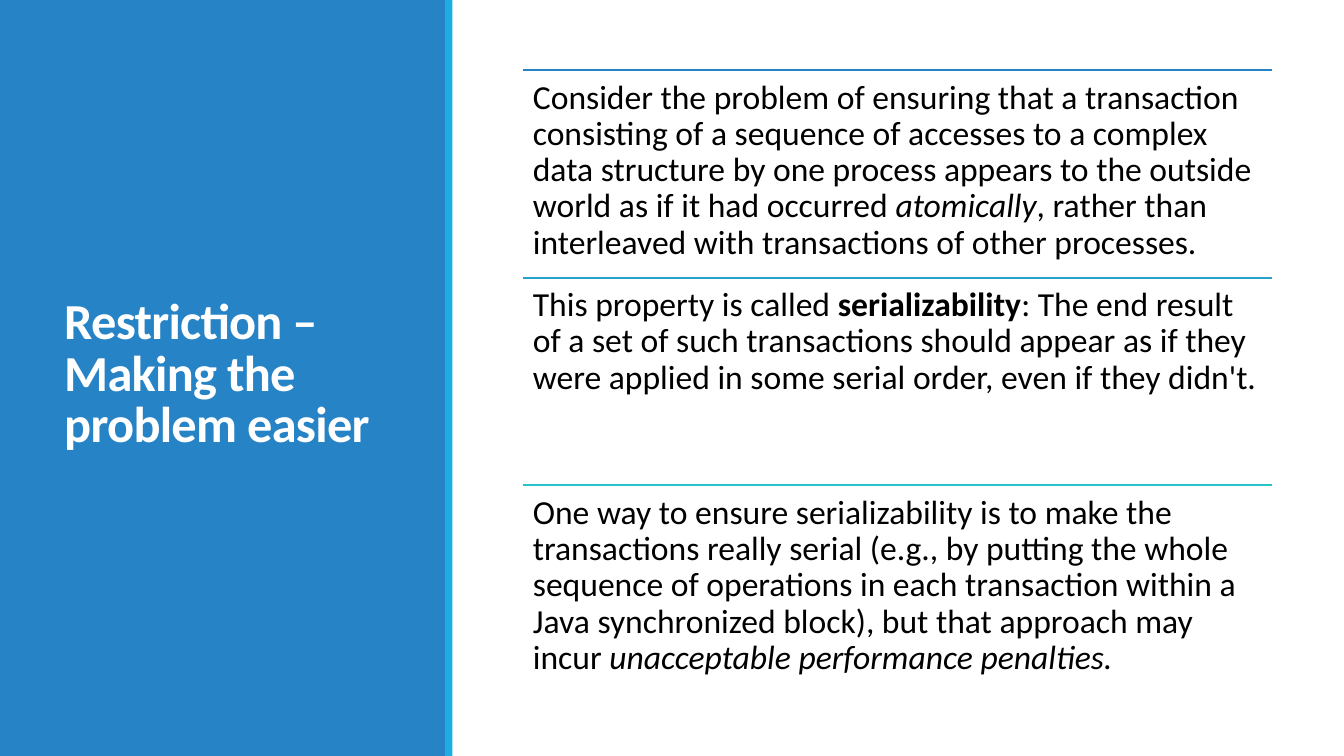
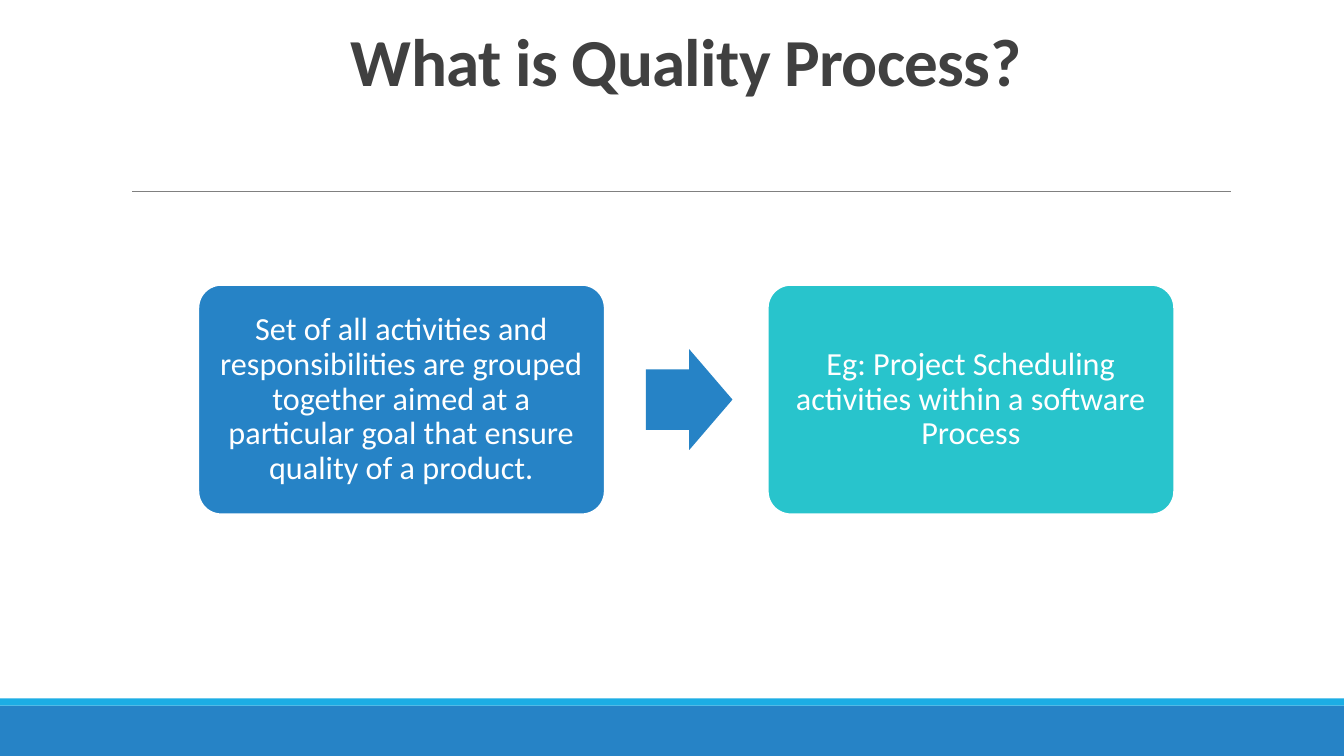
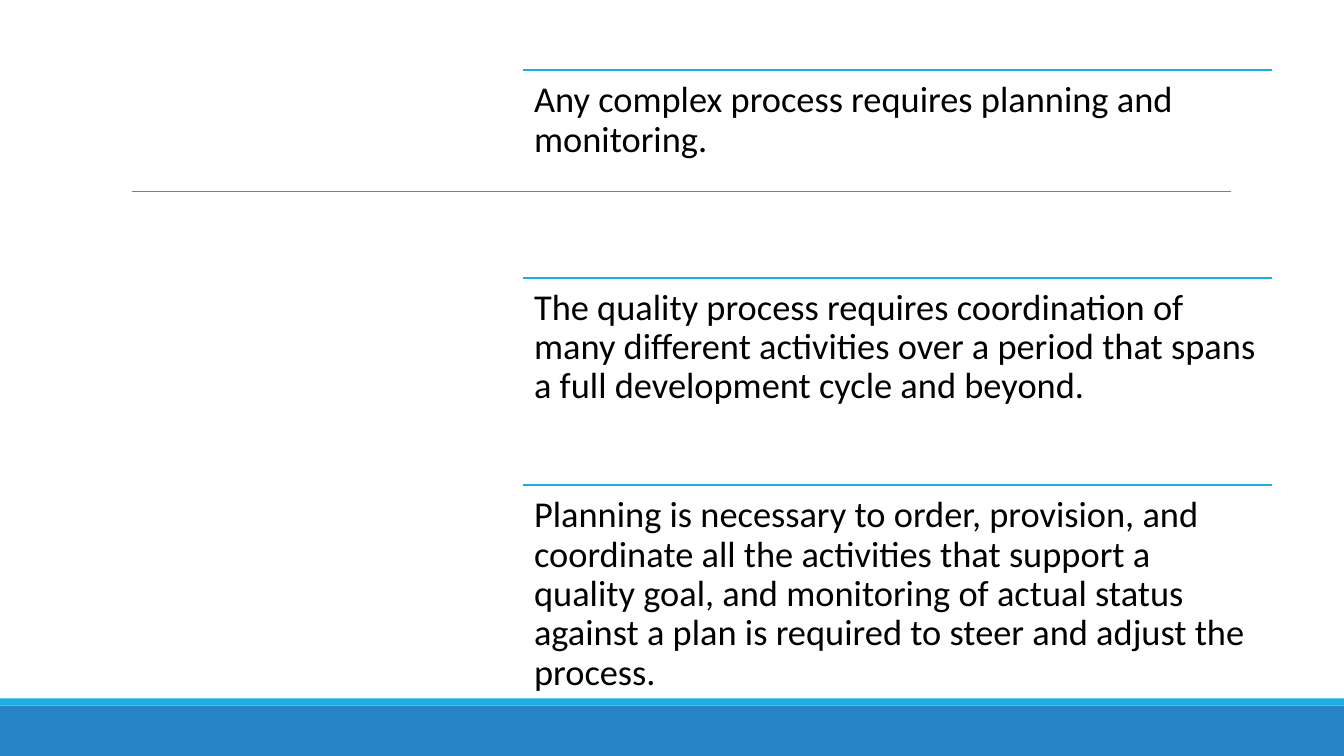
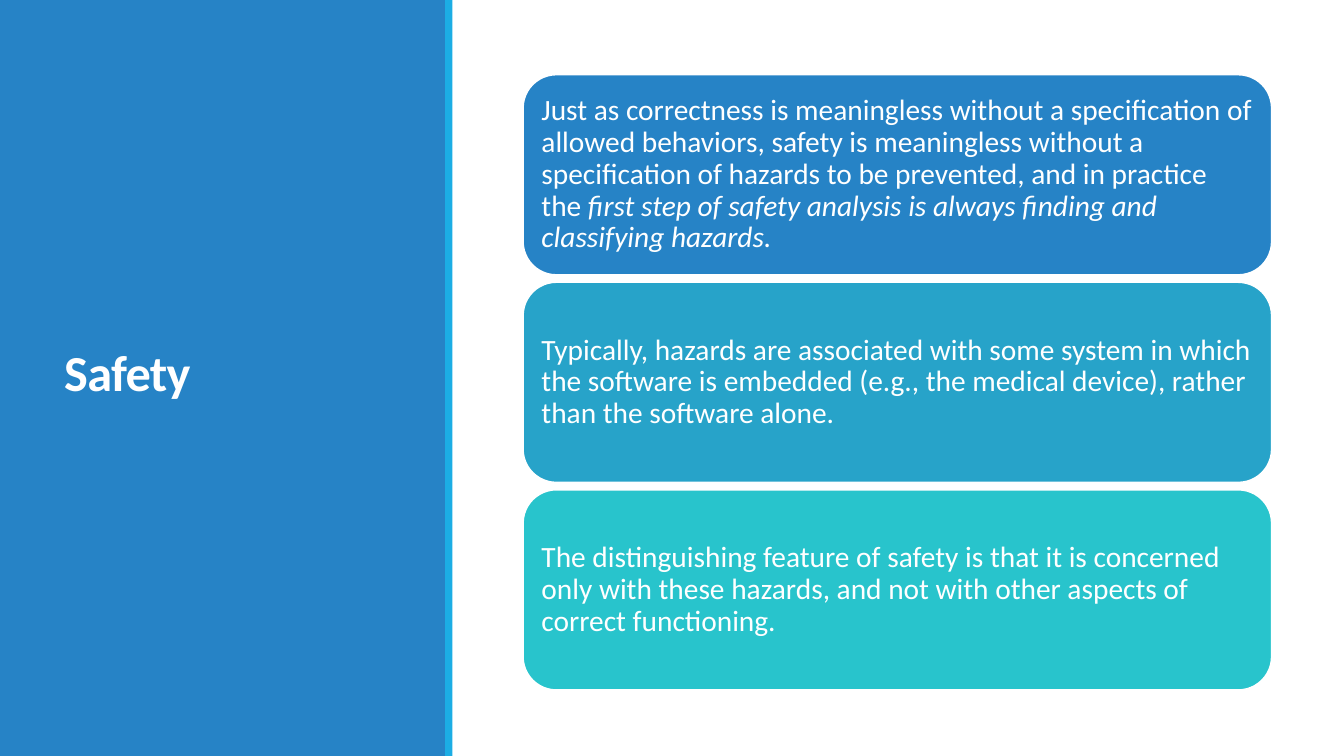
"""Build four slides on restriction, the quality process, planning and safety."""
from pptx import Presentation
from pptx.dml.color import RGBColor
from pptx.enum.shapes import MSO_CONNECTOR, MSO_SHAPE
from pptx.enum.text import MSO_ANCHOR, PP_ALIGN
from pptx.oxml.ns import qn
from pptx.util import Cm, Pt
from lxml.etree import SubElement

FONT = "Calibri"
COLORS = {
    "blue": "2683C6", "sky": "1CADE4", "ocean": "27A3C9", "teal": "28C4CC",
    "white": "FFFFFF", "black": "000000", "dark": "404040", "gray": "808080",
}
WIDTH, HEIGHT = 33.87, 19.05
LEFT, TOP, ROW_W, ROW_H = 13.18, 1.77, 18.87, 5.23


def add_block(s, kind, x, y, w, h, fill, outline=None):
    sp = s.shapes.add_shape(kind, Cm(x), Cm(y), Cm(w), Cm(h))
    sp.shadow.inherit = False
    sp.fill.solid()
    sp.fill.fore_color.rgb = RGBColor.from_string(COLORS[fill])
    if outline:
        sp.line.color.rgb = RGBColor.from_string(COLORS[outline])
        sp.line.width = Pt(1.25)
    else:
        sp.line.fill.background()
    return sp


def write_text(sp, runs, size, color, anchor, inset, align=PP_ALIGN.LEFT, title=False):
    tf = sp.text_frame
    tf.word_wrap = True
    tf.vertical_anchor = anchor
    tf.margin_left = tf.margin_right = tf.margin_top = tf.margin_bottom = Cm(inset)
    p = tf.paragraphs[0]
    p.alignment = align
    p.line_spacing = 0.85 if title else 0.9
    p.font.name = FONT
    p.font.size = Pt(size)
    p.font.color.rgb = RGBColor.from_string(COLORS[color])
    p.font.bold = title
    for text, style in runs:
        r = p.add_run()
        r.text = text
        if style:
            setattr(r.font, style, True)
        if title:
            r._r.get_or_add_rPr().set("spc", "-50")


prs = Presentation()
prs.slide_width, prs.slide_height = Cm(WIDTH), Cm(HEIGHT)
restriction, quality, planning, safety = [
    prs.slides.add_slide(prs.slide_layouts[6]) for _ in range(4)
]
rules = []

for s in (restriction, safety):
    add_block(s, MSO_SHAPE.RECTANGLE, 0, 0, 11.25, HEIGHT, "blue")
    add_block(s, MSO_SHAPE.RECTANGLE, 11.22, 0, 0.18, HEIGHT, "sky")

for s in (quality, planning):
    add_block(s, MSO_SHAPE.RECTANGLE, 0, 17.78, WIDTH, 1.27, "blue")
    add_block(s, MSO_SHAPE.RECTANGLE, 0, 17.6, WIDTH, 0.18, "sky")
    rules.append((s, 3.33, 4.82, 27.68, "gray", 0.5))

side_title = (1.37, 1.45, 8.56, 16.03), 36, "white", MSO_ANCHOR.MIDDLE, PP_ALIGN.LEFT
top_title = (5.44, 1.07, 23.7, 1.7), 48, "dark", MSO_ANCHOR.BOTTOM, PP_ALIGN.CENTER
titles = [
    (restriction, "Restriction – Making the problem easier", side_title),
    (quality, "What is Quality Process?", top_title),
    (safety, "Safety", side_title),
]
for s, text, (box, size, color, anchor, align) in titles:
    sp = s.shapes.add_textbox(*map(Cm, box))
    write_text(sp, [(text, None)], size, color, anchor, 0.25, align, title=True)

restriction_rows = [
    ("blue", [
        ("Consider the problem of ensuring that a transaction consisting of a sequence of "
         "accesses to a complex data structure by one process appears to the outside world "
         "as if it had occurred", None),
        (" atomically", "italic"),
        (", rather than interleaved with transactions of other processes.", None),
    ]),
    ("ocean", [
        ("This property is called ", None),
        ("serializability", "bold"),
        (": The end result of a set of such transactions should appear as if they were "
         "applied in some serial order, even if they didn't.", None),
    ]),
    ("teal", [
        ("One way to ensure serializability is to make the transactions really serial "
         "(e.g., by putting the whole sequence of operations in each transaction within a "
         "Java synchronized block), but that approach may incur ", None),
        ("unacceptable performance penalties.", "italic"),
    ]),
]
planning_rows = [
    ("sky", [("Any complex process requires planning and monitoring.", None)]),
    ("sky", [("The quality process requires coordination of many different activities over "
              "a period that spans a full development cycle and beyond.", None)]),
    ("sky", [("Planning is necessary to order, provision, and coordinate all the activities "
              "that support a quality goal, and monitoring of actual status against a plan "
              "is required to steer and adjust the process.", None)]),
]
for s, rows, size, inset in ((restriction, restriction_rows, 24, 0.25),
                             (planning, planning_rows, 26, 0.28)):
    for i, (color, runs) in enumerate(rows):
        y = TOP + i * ROW_H
        rules.append((s, LEFT, y, ROW_W, color, 1.25))
        sp = s.shapes.add_textbox(Cm(LEFT), Cm(y), Cm(ROW_W), Cm(ROW_H))
        write_text(sp, runs, size, "black", MSO_ANCHOR.TOP, inset)

for s, x, y, w, color, weight in rules:
    ln = s.shapes.add_connector(MSO_CONNECTOR.STRAIGHT, Cm(x), Cm(y), Cm(x + w), Cm(y))
    ln.line.color.rgb = RGBColor.from_string(COLORS[color])
    ln.line.width = Pt(weight)
    SubElement(ln._element.spPr, qn("a:effectLst"))

steps = [
    (5, "blue", "Set of all activities and responsibilities are grouped together aimed at a "
                "particular goal that ensure quality of a product."),
    (19.35, "teal", "Eg: Project Scheduling activities within a software Process"),
]
for x, fill, text in steps:
    sp = add_block(quality, MSO_SHAPE.ROUNDED_RECTANGLE, x, 7.18, 10.24, 5.78, fill, "white")
    sp.adjustments[0] = 0.1
    write_text(sp, [(text, None)], 23, "white", MSO_ANCHOR.MIDDLE, 0.25, PP_ALIGN.CENTER)
arrow = add_block(quality, MSO_SHAPE.RIGHT_ARROW, 16.28, 8.8, 2.18, 2.54, "blue")
arrow.adjustments[0] = 0.6

safety_cards = [
    ("blue", [
        ("Just as correctness is meaningless without a specification of allowed behaviors, "
         "safety is meaningless without a specification of hazards to be prevented, and in "
         "practice the ", None),
        ("first step of safety analysis is always finding and classifying hazards.", "italic"),
    ]),
    ("ocean", [("Typically, hazards are associated with some system in which the software is "
                "embedded (e.g., the medical device), rather than the software alone.", None)]),
    ("teal", [("The distinguishing feature of safety is that it is concerned only with these "
               "hazards, and not with other aspects of correct functioning.", None)]),
]
for i, (fill, runs) in enumerate(safety_cards):
    sp = add_block(safety, MSO_SHAPE.ROUNDED_RECTANGLE,
                   LEFT, 1.88 + i * ROW_H, ROW_W, 5.05, fill, "white")
    write_text(sp, runs, 21, "white", MSO_ANCHOR.MIDDLE, 0.22)

prs.save("out.pptx")
